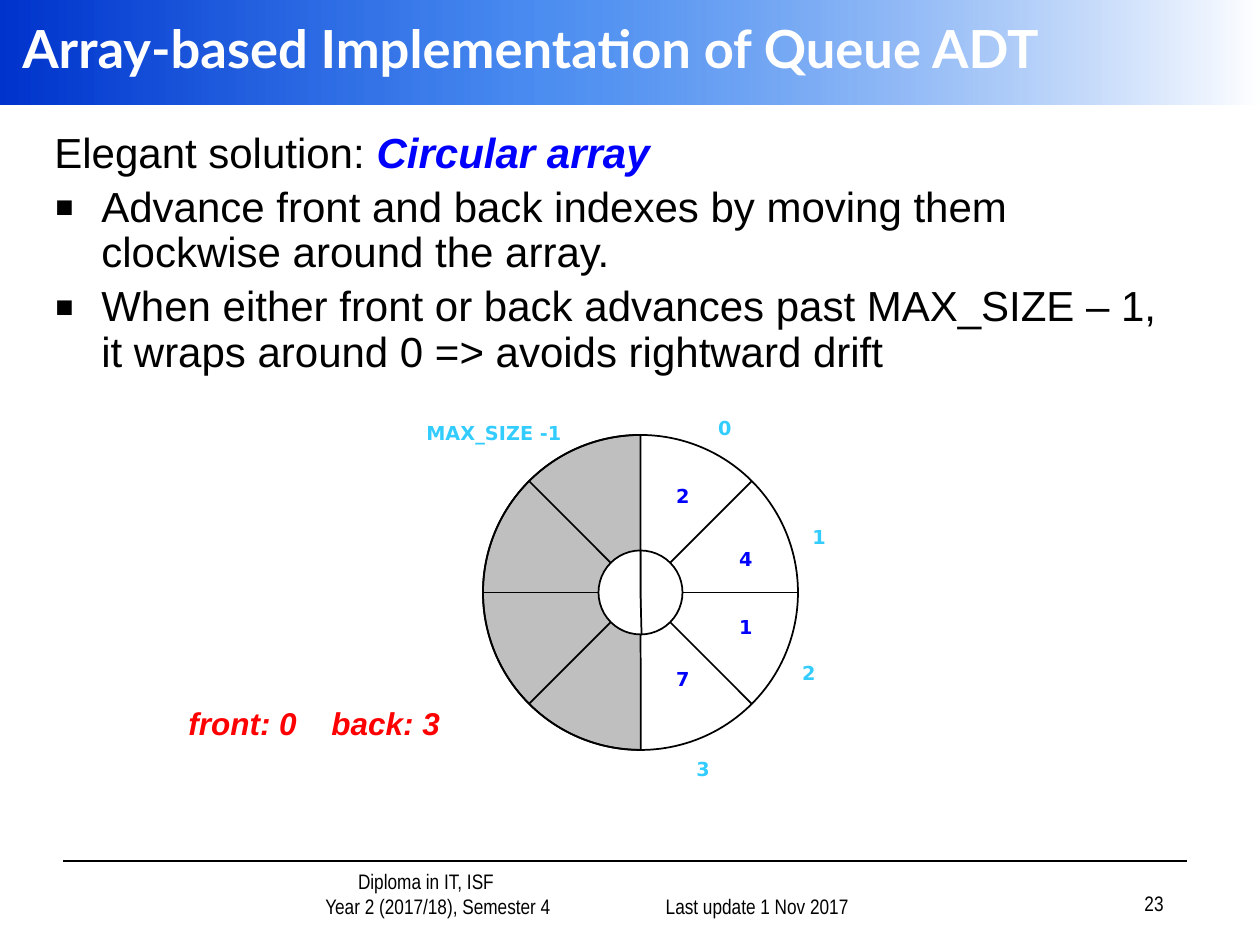
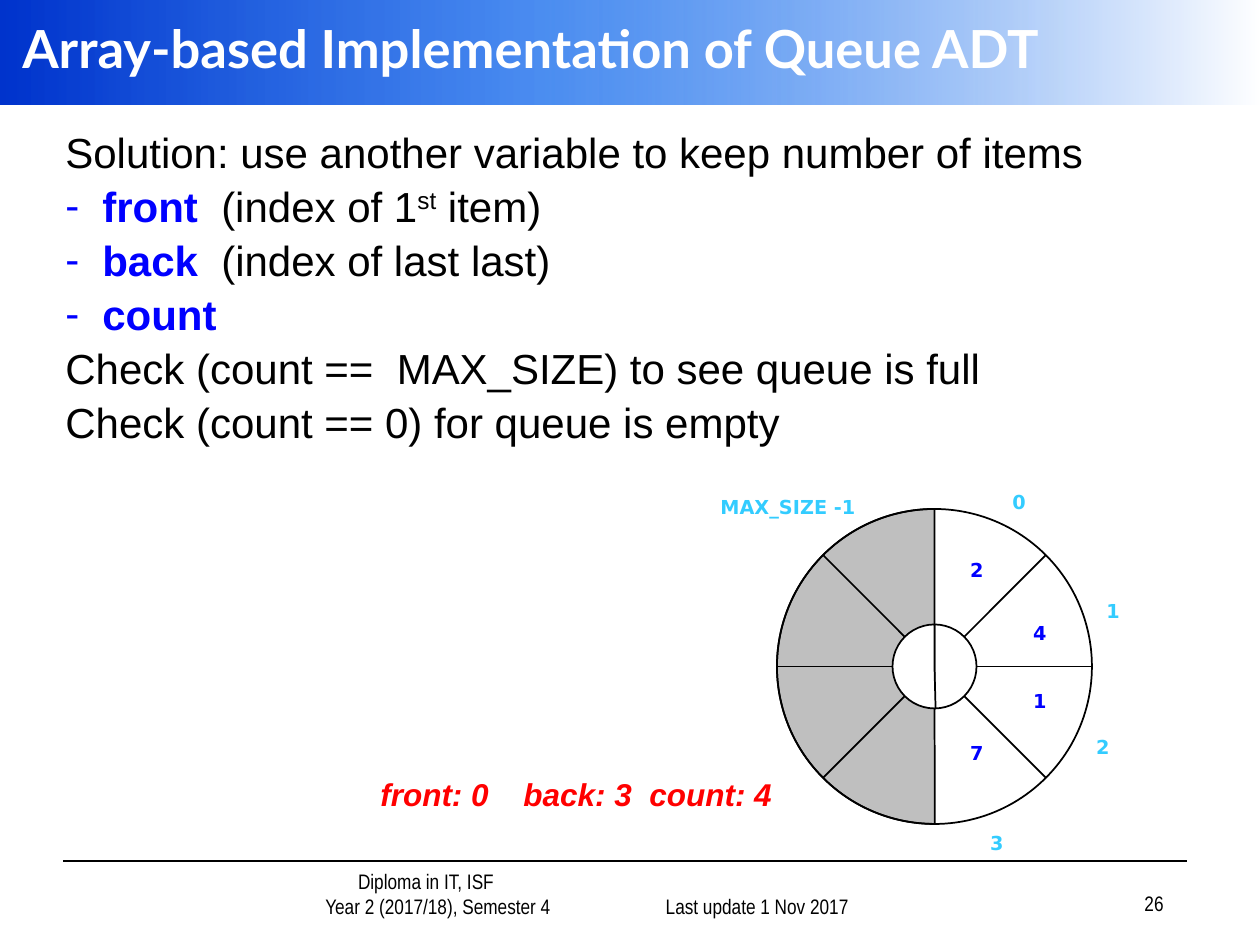
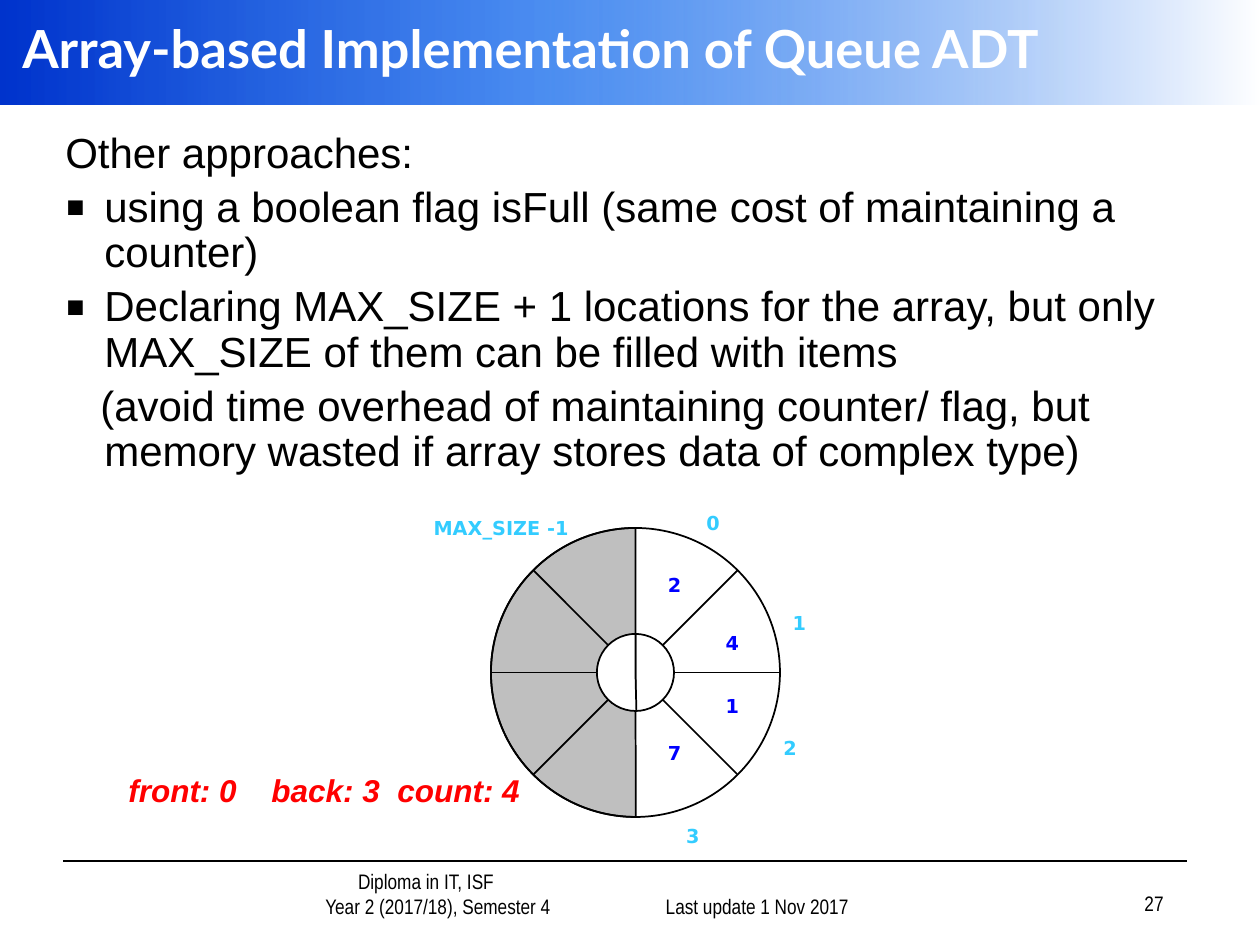
import math
from lxml import etree
from pptx import Presentation
from pptx import util as u
from pptx.dml.color import RGBColor
from pptx.enum import shapes as sh, text as tx
from pptx.oxml import parse_xml
from pptx.oxml.ns import nsdecls, qn

BLACK, WHITE, GREY = "000000", "FFFFFF", "BFBFBF"
BLUE, CYAN, RED = "0000FF", "33CCFF", "FF0000"
BODY, HEAD, FOOT, CELL = "Arial", "Lato", "Arial Narrow", "DejaVu Sans"
LEFT, MID, RIGHT = tx.PP_ALIGN.LEFT, tx.PP_ALIGN.CENTER, tx.PP_ALIGN.RIGHT
TOP, CENTRE, BASE = tx.MSO_ANCHOR.TOP, tx.MSO_ANCHOR.MIDDLE, tx.MSO_ANCHOR.BOTTOM
TITLE = "Array-based Implementation of Queue ADT"


def px(n):
    return u.Emu(round(n * 914400 / 126))


def rgb(code):
    return RGBColor.from_string(code)


def style(run, face, size, color, bold=False, slant=False):
    font = run.font
    font.name, font.size = face, u.Pt(size)
    font.bold, font.italic = bold, slant
    font.color.rgb = rgb(color)


def frame(slide, x, y, w, h, anchor=TOP):
    box = slide.shapes.add_textbox(px(x), px(y), px(w), px(h)).text_frame
    box.word_wrap = True
    box.vertical_anchor = anchor
    return box


def label(slide, box, text, look, align=LEFT, anchor=TOP):
    area = frame(slide, *box, anchor)
    area.text = text
    for para in area.paragraphs:
        para.alignment = align
        for run in para.runs:
            style(run, *look)
    return area


def line(slide, x1, y1, x2, y2, color=BLACK, width=1):
    link = slide.shapes.add_connector(
        sh.MSO_CONNECTOR.STRAIGHT, px(x1), px(y1), px(x2), px(y2))
    link.line.color.rgb = rgb(color)
    link.line.width = u.Pt(width)
    etree.SubElement(link._element.spPr, qn("a:effectLst"))


def shape(slide, kind, x, y, w, h, fill=None, edge=BLACK):
    part = slide.shapes.add_shape(kind, px(x), px(y), px(w), px(h))
    part.shadow.inherit = False
    if fill:
        part.fill.solid()
        part.fill.fore_color.rgb = rgb(fill)
    else:
        part.fill.background()
    if edge:
        part.line.color.rgb = rgb(edge)
        part.line.width = u.Pt(1)
    else:
        part.line.fill.background()
    return part


def indent(para, left, first=0):
    props = para._p.get_or_add_pPr()
    props.set("marL", str(px(left)))
    props.set("indent", str(px(first)))
    return props


def bullet(props, mark, color, size):
    hue = etree.SubElement(props, qn("a:buClr"))
    etree.SubElement(hue, qn("a:srgbClr"), val=color)
    etree.SubElement(props, qn("a:buSzPct"), val=str(size * 1000))
    etree.SubElement(props, qn("a:buFont"), typeface=BODY)
    etree.SubElement(props, qn("a:buChar"), char=mark)


# Title band, rule and footers
def base(slide, number):
    look = FOOT, 12, BLACK
    area = label(slide, (212, 872, 365, 53),
                 "Diploma in IT, ISF\nYear 2 (2017/18), Semester 4", look, MID, BASE)
    for para, left in zip(area.paragraphs, (63, 87)):
        indent(para, left)
    line(slide, 63, 861, 1187, 861)
    band = shape(slide, sh.MSO_SHAPE.RECTANGLE, 0, 0, 1260, 105, edge=None)
    props = band._element.spPr
    props.replace(props.find(qn("a:noFill")), parse_xml(
        f'<a:gradFill {nsdecls("a")} rotWithShape="1"><a:gsLst>'
        '<a:gs pos="0"><a:srgbClr val="0033CC"/></a:gs>'
        '<a:gs pos="43000"><a:srgbClr val="005EEB"><a:alpha val="70000"/></a:srgbClr></a:gs>'
        '<a:gs pos="100000"><a:srgbClr val="FFFFFF"/></a:gs>'
        '</a:gsLst><a:lin ang="0" scaled="1"/></a:gradFill>'))
    label(slide, (599, 872, 262, 53), "Last update 1 Nov 2017", look, RIGHT, BASE)
    label(slide, (914, 869, 262, 53), str(number), look, RIGHT, BASE)
    label(slide, (10, 0, 1250, 94), TITLE, (HEAD, 30, WHITE, True), LEFT, CENTRE)


# Body text: each row is (left, first, mark, runs); a run is (text, look)
PLAIN, KEY, TERM, RAISED = "plain", "key", "term", "raised"
MARKS = {"▪": (BLACK, 140), "-": (BLUE, 100)}


def body(slide, x, rows):
    area = frame(slide, x, 126, 1144, 242)
    for i, (left, first, mark, runs) in enumerate(rows):
        para = area.add_paragraph() if i else area.paragraphs[0]
        para.line_spacing = 0.9
        if i:
            para.space_before = u.Pt(5)
        for text, kind in runs:
            run = para.add_run()
            run.text = text
            bold = kind in (KEY, TERM)
            style(run, BODY, 24, BLUE if bold else BLACK, bold, kind == TERM)
            if kind == RAISED:
                run._r.get_or_add_rPr().set("baseline", "30000")
        props = indent(para, left, first)
        if mark:
            bullet(props, mark, *MARKS[mark])


# Circular array: text, centre, top and colour on a wheel 315 wide
WHEEL = 315
TAGS = [("MAX_SIZE -1", 11, -20, CYAN), ("0", 242, -25, CYAN),
        ("1", 336, 84, CYAN), ("2", 326, 220, CYAN), ("3", 220, 316, CYAN),
        ("2", 200, 43, BLUE), ("4", 263, 106, BLUE),
        ("1", 263, 174, BLUE), ("7", 200, 226, BLUE)]


def wheel(slide, x, y, size):
    scale = size / WHEEL
    rim, hub = size / 2, 42 * scale
    cx, cy = x + rim, y + rim
    outer = x, y, size, size
    inner = cx - hub, cy - hub, 2 * hub, 2 * hub
    oval, pie = sh.MSO_SHAPE.OVAL, sh.MSO_SHAPE.PIE

    def half(box, start, fill):
        part = shape(slide, pie, *box, fill)
        part.adjustments[0], part.adjustments[1] = start, 162

    shape(slide, oval, *inner)
    half(outer, 53.91, GREY)
    shape(slide, oval, *outer)
    # Spokes, all but the top one, which is the edge of the grey half
    for step in range(-1, 6):
        turn = math.radians(45 * step)
        dx, dy = math.cos(turn), math.sin(turn)
        line(slide, cx + rim * dx, cy + rim * dy, cx + hub * dx, cy + hub * dy)
    half(inner, 53.12, WHITE)
    for text, mid, top, color in TAGS:
        wide = (252 if len(text) > 1 else 126) * scale
        label(slide, (x + mid * scale - wide / 2, y + top * scale, wide, 37 * scale),
              text, (CELL, 11, color, True), MID)


# Red line with the values of the indexes
def state(slide, x, y, *parts):
    area = label(slide, (x, y, 450, 50), "\t".join(parts), (BODY, 18, RED, True, True))
    tabs = etree.SubElement(area.paragraphs[0]._p.get_or_add_pPr(), qn("a:tabLst"))
    for stop in (143, 269):
        etree.SubElement(tabs, qn("a:tab"), pos=str(px(stop)), algn="l")


def dot(left, text):
    return left, -left, "▪", [(text, PLAIN)]


def dash(*runs):
    return 37, -37, "-", runs


def plain(text, left=0, first=0):
    return left, first, None, [(text, PLAIN)]


deck = Presentation()
deck.slide_width, deck.slide_height = px(1260), px(945)


def page(number):
    slide = deck.slides.add_slide(deck.slide_layouts[6])
    base(slide, number)
    return slide


# Circular array
slide = page(23)
body(slide, 42, [
    (0, 0, None, [("Elegant solution: ", PLAIN), ("Circular array", TERM)]),
    dot(47, "Advance front and back indexes by moving them clockwise around the array."),
    dot(47, "When either front or back advances past MAX_SIZE – 1, "
            "it wraps around 0 => avoids rightward drift")])
wheel(slide, 483, 435, 315)
state(slide, 176, 698, "front: 0", "back: 3")

# Counting the items
slide = page(26)
body(slide, 53, [
    plain("Solution: use another variable to keep number of items"),
    dash(("front  ", KEY), ("(index of 1", PLAIN), ("st", RAISED), (" item)", PLAIN)),
    dash(("back  ", KEY), ("(index of last last)", PLAIN)),
    dash(("count", KEY)),
    plain("Check (count ==  MAX_SIZE) to see queue is full"),
    plain("Check (count == 0) for queue is empty")])
wheel(slide, 777, 509, 315)
state(slide, 368, 769, "front: 0", "back: 3", "count: 4")

# Other approaches
slide = page(27)
body(slide, 53, [
    plain("Other approaches:"),
    dot(39, "using a boolean flag isFull (same cost of maintaining a counter)"),
    dot(39, "Declaring MAX_SIZE + 1 locations for the array, but only "
            "MAX_SIZE of them can be filled with items"),
    plain("(avoid time overhead of maintaining counter/ flag, but "
          "memory wasted if array stores data of complex type)", 39, -4)])
wheel(slide, 491, 528, 289)
state(slide, 116, 765, "front: 0", "back: 3", "count: 4")

deck.save("out.pptx")
